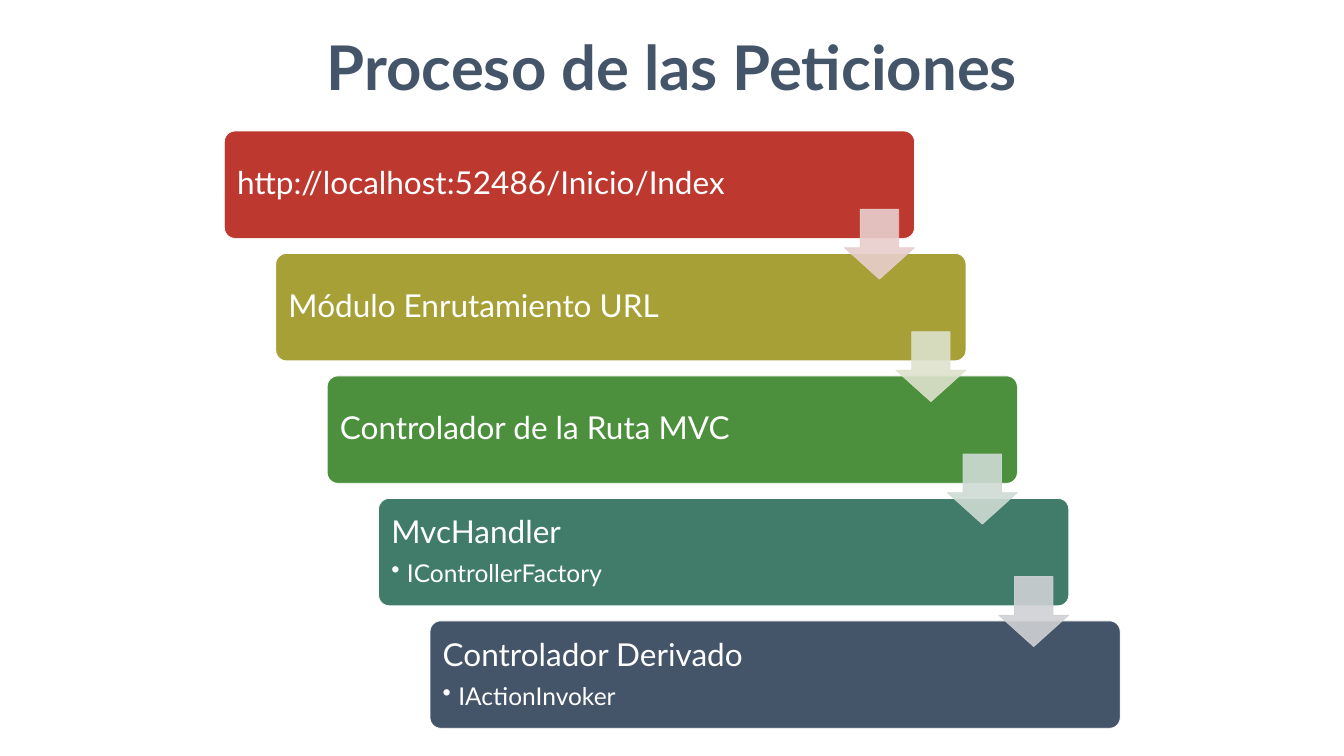
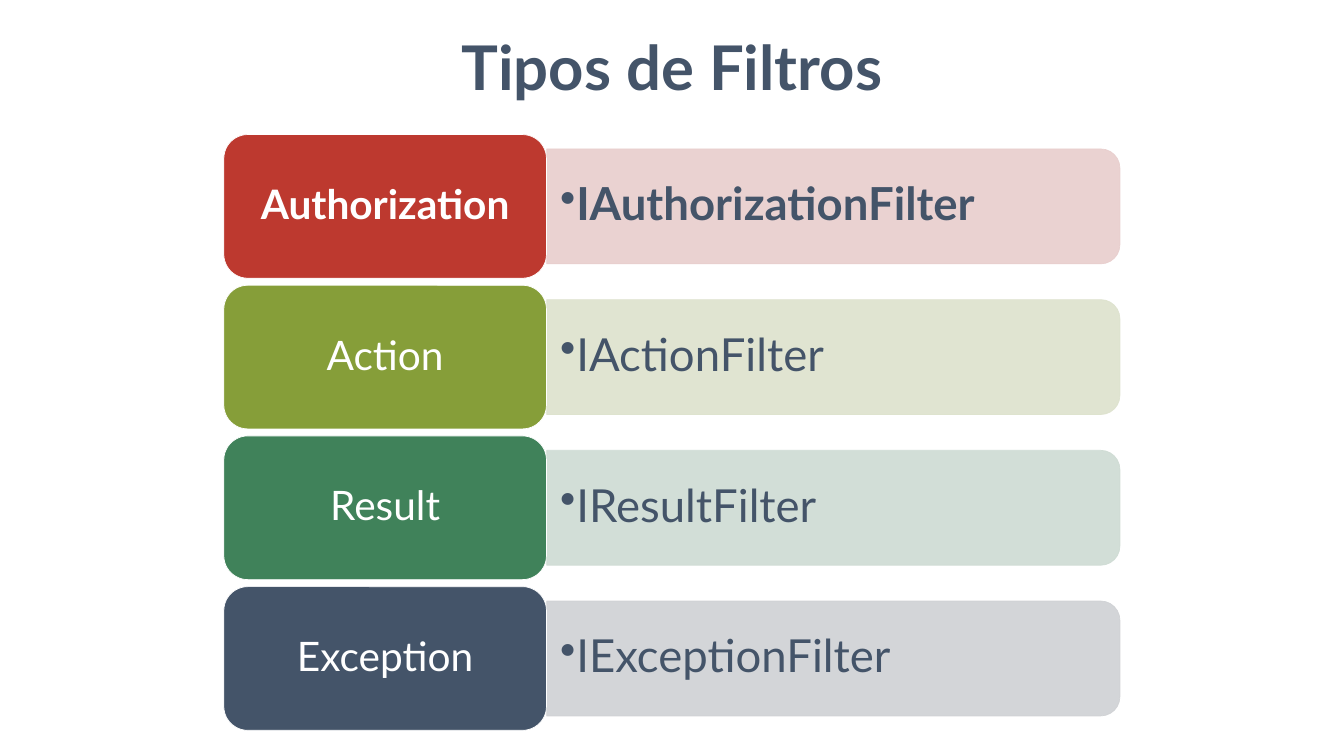
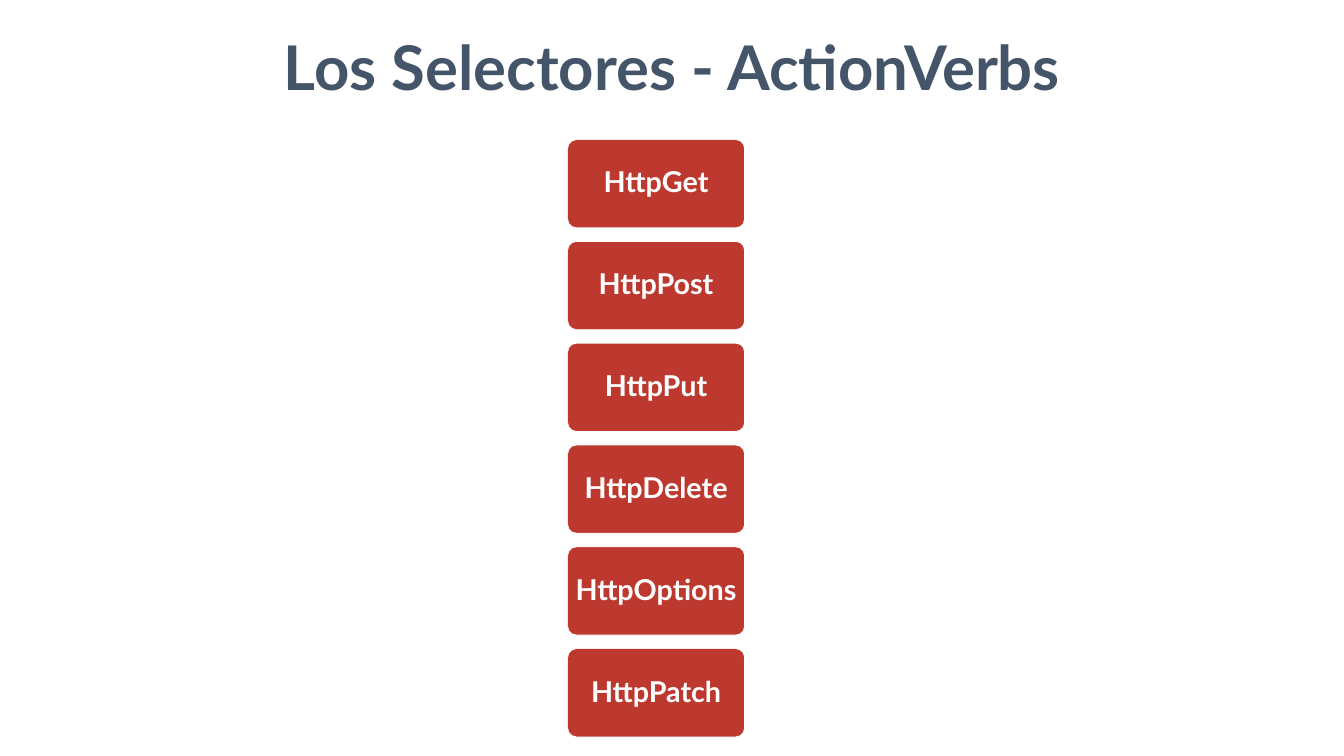
from dataclasses import dataclass

from lxml import etree
from pptx import Presentation
from pptx import util as u
from pptx.dml.color import RGBColor
from pptx.enum import shapes, text
from pptx.oxml.ns import qn

KIND = shapes.MSO_SHAPE
ALIGN = text.PP_ALIGN


@dataclass(frozen=True)
class Theme:
    font: str = "Lato"
    white: str = "FFFFFF"
    navy: str = "445469"
    red: str = "BD392F"
    olive: str = "A6A037"
    lime: str = "869E39"
    green: str = "4C903D"
    jade: str = "40825A"
    teal: str = "417C6A"
    tints: tuple = ("E8CECD", "DDE2CD", "CEDBD3", "CFD1D4")
    title: int = 88
    step: int = 45
    sub: int = 35
    tab: int = 58
    name: int = 65
    verb: int = 41


T = Theme()


def put(obj, **vals):
    for key, val in vals.items():
        setattr(obj, key, val)


def inches(*nums):
    return [u.Inches(n) for n in nums]


def style(run, size, color, bold=False):
    put(run.font, name=T.font, size=u.Pt(size), bold=bold)
    run.font.color.rgb = RGBColor.from_string(color)


def set_frame(frame, side, edge):
    put(frame, word_wrap=True, vertical_anchor=text.MSO_ANCHOR.MIDDLE,
        margin_left=u.Inches(side), margin_right=u.Inches(side),
        margin_top=u.Inches(edge), margin_bottom=u.Inches(edge))


def write(para, words, size, color=T.white, bold=False, align=ALIGN.LEFT, bullet=False):
    """Fill one paragraph; a bullet also indents it and tightens its spacing."""
    if bullet:
        props = para._p.get_or_add_pPr()
        props.set("marL", str(u.Inches(0.31)))
        props.set("indent", str(u.Inches(-0.31)))
        etree.SubElement(props, qn("a:buChar")).set("char", "•")
    gap = 0.15 if bullet else 0.35
    put(para, level=int(bullet), alignment=align, line_spacing=0.9,
        space_after=u.Pt(size * gap))
    run = para.add_run()
    run.text = words
    style(run, size, color, bold)


def add_block(slide, kind, box, fill, line=T.white, adjust=(), alpha=None):
    """Draw a preset shape; alpha is the opacity in percent of fill and line."""
    block = slide.shapes.add_shape(kind, *inches(*box))
    block.shadow.inherit = False
    block.fill.solid()
    block.fill.fore_color.rgb = RGBColor.from_string(fill)
    block.line.color.rgb = RGBColor.from_string(line)
    block.line.width = u.Pt(1)
    for i, val in enumerate(adjust):
        block.adjustments[i] = val
    if alpha:
        for color in block._element.spPr.iter(qn("a:srgbClr")):
            etree.SubElement(color, qn("a:alpha")).set("val", str(alpha * 1000))
    return block


def add_slide(deck, words, left=0, width=26.66):
    slide = deck.slides.add_slide(deck.slide_layouts[5])
    title = slide.shapes.title
    put(title, **dict(zip(("left", "top", "width", "height"),
                          inches(left, 0.53, width, 1.58))))
    frame = title.text_frame
    set_frame(frame, 0.1, 0.05)
    put(frame, vertical_anchor=text.MSO_ANCHOR.TOP,
        auto_size=text.MSO_AUTO_SIZE.SHAPE_TO_FIT_TEXT)
    para = frame.paragraphs[0]
    put(para, alignment=ALIGN.CENTER, line_spacing=1.0)
    run = para.add_run()
    run.text = words
    style(run, T.title, T.navy, bold=True)
    return slide


def add_step(slide, left, top, fill, head, sub=None):
    block = add_block(slide, KIND.ROUNDED_RECTANGLE, (left, top, 13.69, 2.13),
                      fill, adjust=[0.1])
    frame = block.text_frame
    set_frame(frame, 0.19, 0.19)
    write(frame.paragraphs[0], head, T.step)
    if sub:
        write(frame.add_paragraph(), sub, T.sub, bullet=True)


def add_arrow(slide, left, top, tint):
    add_block(slide, KIND.DOWN_ARROW, (left, top, 1.39, 1.39), tint, tint,
              adjust=[0.55, 0.45], alpha=90)


def add_filter(slide, top, fill, tint, head, name, bold):
    """Draw a tab with the pale strip, turned a quarter, to its right."""
    strip = add_block(slide, KIND.ROUND_2_SAME_RECTANGLE,
                      (15.39, top - 4.26, 2.28, 11.37), tint, tint, alpha=90)
    strip.rotation = 90
    label = slide.shapes.add_textbox(*inches(10.84, top + 0.39, 11.26, 2.06))
    set_frame(label.text_frame, 0.27, 0.14)
    write(label.text_frame.paragraphs[0], name, T.name, T.navy, bold, bullet=True)
    tab = add_block(slide, KIND.ROUNDED_RECTANGLE, (4.44, top, 6.4, 2.85), fill)
    set_frame(tab.text_frame, 0.24, 0.12)
    write(tab.text_frame.paragraphs[0], head, T.tab, bold=bold, align=ALIGN.CENTER)


def add_verb(slide, top, name):
    block = add_block(slide, KIND.ROUNDED_RECTANGLE, (11.26, top, 3.51, 1.75),
                      T.red, adjust=[0.1])
    set_frame(block.text_frame, 0.03, 0.03)
    write(block.text_frame.paragraphs[0], name, T.verb, bold=True, align=ALIGN.CENTER)


def build_process(deck):
    slide = add_slide(deck, "Proceso de las Peticiones")
    steps = [
        (T.red, "http://localhost:52486/Inicio/Index"),
        (T.olive, "Módulo Enrutamiento URL"),
        (T.green, "Controlador de la Ruta MVC"),
        (T.teal, "MvcHandler", "IControllerFactory"),
        (T.navy, "Controlador Derivado", "IActionInvoker"),
    ]
    spots = [(4.45 + 1.02 * i, 2.6 + 2.43 * i) for i in range(len(steps))]
    for (left, top), step in zip(spots, steps):
        add_step(slide, left, top, *step)
    for (left, top), tint in zip(spots, T.tints):
        add_arrow(slide, left + 12.3, top + 1.55, tint)


def build_filters(deck):
    slide = add_slide(deck, "Tipos de Filtros", 6.57, 13.52)
    fills = (T.red, T.lime, T.jade, T.navy)
    heads = ("Authorization", "Action", "Result", "Exception")
    for i, (fill, tint, head) in enumerate(zip(fills, T.tints, heads)):
        add_filter(slide, 2.67 + 2.99 * i, fill, tint, head, f"I{head}Filter", i == 0)


def build_verbs(deck):
    slide = add_slide(deck, "Los Selectores - ActionVerbs")
    for i, verb in enumerate(("Get", "Post", "Put", "Delete", "Options", "Patch")):
        add_verb(slide, 2.77 + 2.02 * i, f"Http{verb}")


def main():
    deck = Presentation()
    put(deck, slide_width=u.Inches(26.66), slide_height=u.Inches(15))
    build_process(deck)
    build_filters(deck)
    build_verbs(deck)
    deck.save("out.pptx")


if __name__ == "__main__":
    main()
